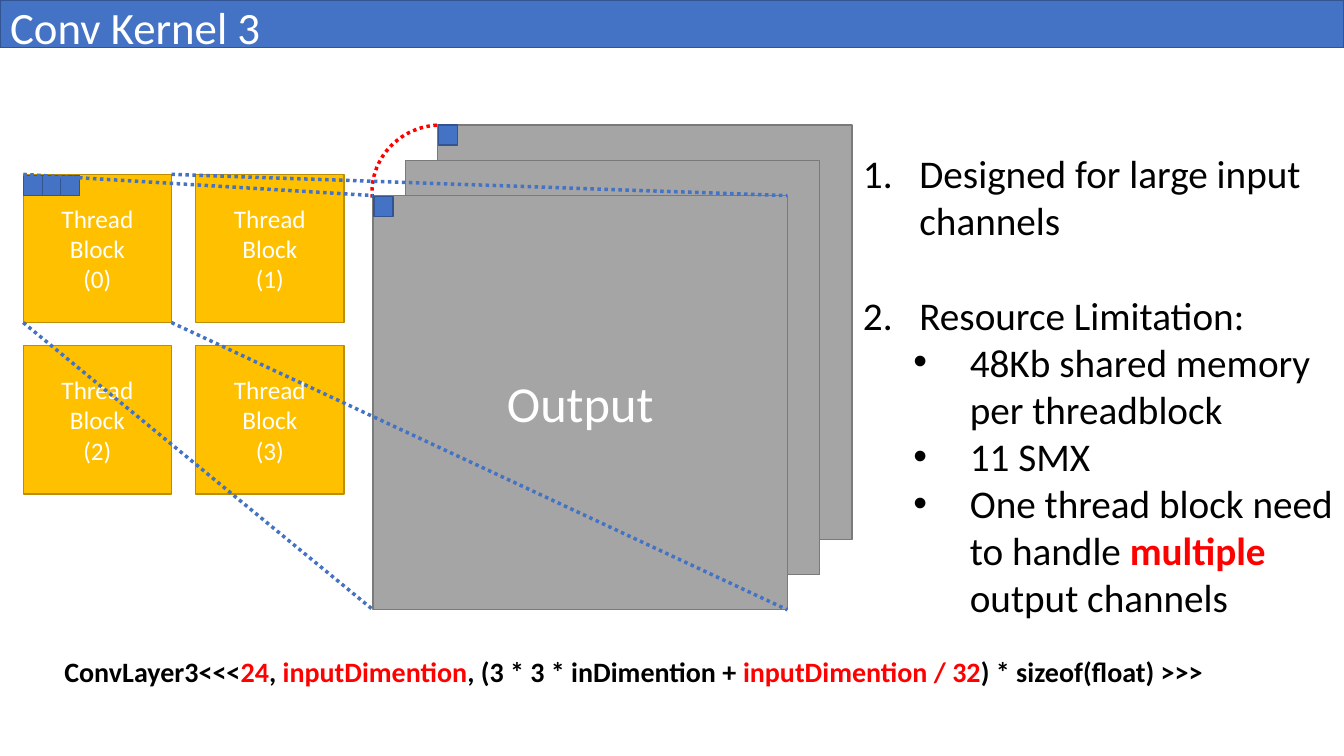
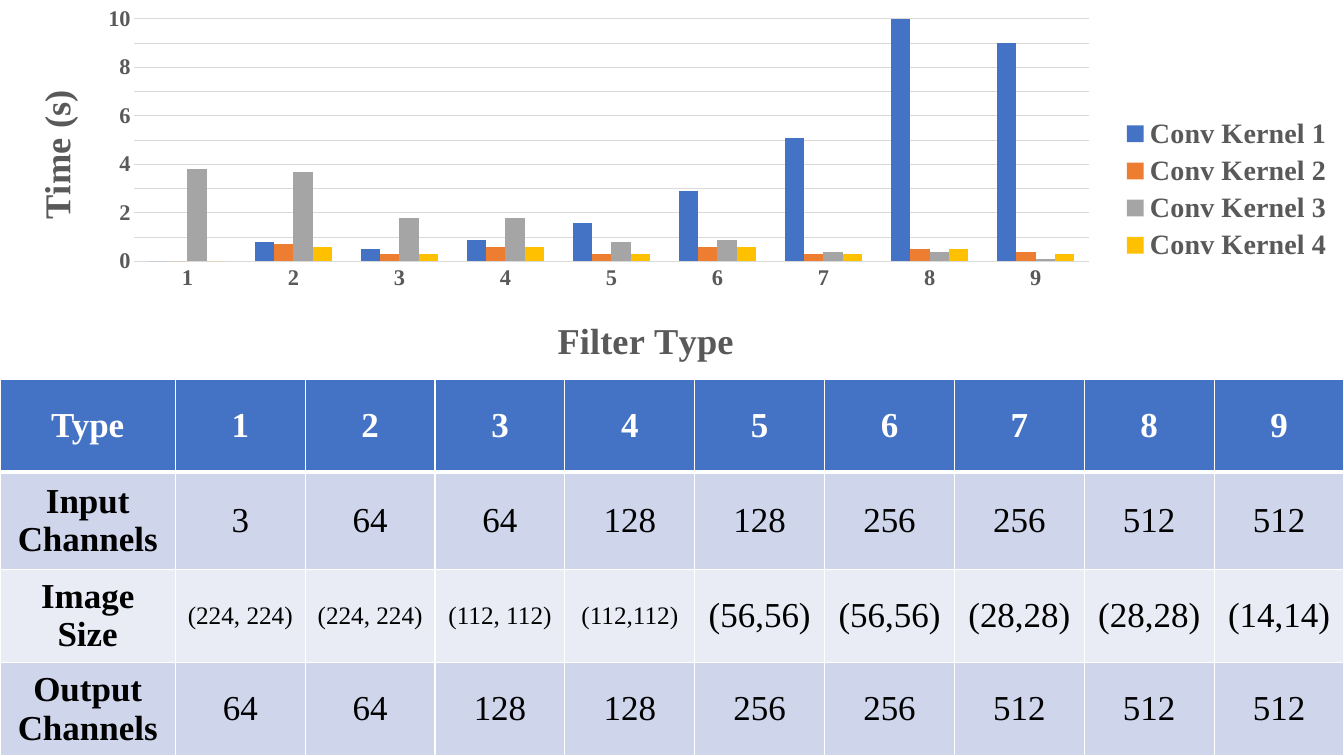
from copy import deepcopy
from dataclasses import dataclass
from lxml.etree import SubElement as Sub, Element as Elem
from pptx import Presentation
from pptx.chart.data import CategoryChartData as Data
from pptx.dml.color import RGBColor as Rgb
from pptx.enum.chart import XL_CHART_TYPE as Kind, XL_LEGEND_POSITION as Side, XL_TICK_MARK as Tick
from pptx.enum.dml import MSO_LINE as Dash
from pptx.enum.shapes import MSO_CONNECTOR as Link, MSO_SHAPE as Form
from pptx.enum.text import MSO_ANCHOR as Anchor, MSO_AUTO_SIZE as Fit, PP_ALIGN as Align
from pptx.oxml.ns import qn
from pptx.util import Inches, Pt


@dataclass(frozen=True)
class Theme:
    blue: str = "4472C4"
    navy: str = "325491"
    gold: str = "FFC000"
    rust: str = "BD8E00"
    gray: str = "A5A5A5"
    dark: str = "7A7A7A"
    orange: str = "ED7D31"
    red: str = "FF0000"
    black: str = "000000"
    white: str = "FFFFFF"
    band: str = "CFD5EA"
    pale: str = "E9EBF5"
    ink: str = "595959"
    rule: str = "D9D9D9"
    sans: str = "Calibri"
    serif: str = "Times New Roman"
    title: int = 32
    big: int = 36
    body: int = 28
    axis: int = 26
    cell: int = 25
    code: int = 20
    small: int = 18
    tick: int = 16


T = Theme()
deck = Presentation()
deck.slide_width, deck.slide_height = Inches(13.33), Inches(7.5)
COL, ROW = deck.slide_width / 100, deck.slide_height / 100


def grid(x, y, w, h):
    return int(x * COL), int(y * ROW), int(w * COL), int(h * ROW)


def style(font, size, color, bold=False, face=T.sans):
    font.size, font.bold, font.name = Pt(size), bold, face
    font.color.rgb = Rgb.from_string(color)


page = deck.slides.add_slide(deck.slide_layouts[5])
shapes = page.shapes
head = shapes.title
head.left, head.top, head.width, head.height = grid(0, 0, 100, 6.27)
head.fill.solid()
head.fill.fore_color.rgb = Rgb.from_string(T.blue)
head.line.color.rgb = Rgb.from_string(T.navy)
head.line.width = Pt(1)
frame = head.text_frame
frame.auto_size, frame.vertical_anchor = Fit.NONE, Anchor.MIDDLE
frame.margin_top, frame.margin_bottom = Inches(0.05), 0
para = frame.paragraphs[0]
para.alignment = Align.LEFT
run = para.add_run()
run.text = "Conv Kernel 3"
style(run.font, T.title, T.white)

bx, by, bw, bh = 1.73, 23.07, 11.03, 19.6
fx, fy, fw, fh = 27.76, 25.87, 30.83, 54.8
boxes = []
for step in (2, 1, 0):
    words = [] if step else ["Output"]
    spot = (fx + step * 2.4, fy - step * 4.67, fw, fh)
    boxes.append((spot, T.gray, T.dark, words, T.big))
for num in range(4):
    spot = (bx + num % 2 * 12.83, by + num // 2 * 22.67, bw, bh)
    boxes.append((spot, T.gold, T.rust, ["Thread Block", f"({num})"], T.small))
for x, y in ((1.73, 23.2), (3.15, 23.2), (4.5, 23.2), (27.83, 26), (32.63, 16.53)):
    boxes.append(((x, y, 1.43, 2.67), T.blue, T.navy, [], T.small))

for spot, fill, edge, words, size in boxes:
    box = shapes.add_shape(Form.RECTANGLE, *grid(*spot))
    box.shadow.inherit = False
    box.fill.solid()
    box.fill.fore_color.rgb = Rgb.from_string(fill)
    box.line.color.rgb = Rgb.from_string(edge)
    box.line.width = Pt(1)
    frame = box.text_frame
    frame.vertical_anchor = Anchor.MIDDLE
    for num, word in enumerate(words):
        para = frame.add_paragraph() if num else frame.paragraphs[0]
        para.alignment = Align.CENTER
        run = para.add_run()
        run.text = word
        style(run.font, size, T.white)

arc = shapes.add_shape(Form.ARC, *grid(27.83, 16.27, 9.9, 18.13))
arc.adjustments[0], arc.adjustments[1] = 162, 1.77
arc.rotation = 264.9
arc.fill.background()
arc.shadow.inherit = False
dots = [(arc, T.red)]
for i in (0, 1):
    for j in (0, 1):
        start = grid(bx + i * bw, by + j * bh, 0, 0)[:2]
        end = grid(fx + i * fw, fy + j * fh, 0, 0)[:2]
        dots.append((shapes.add_connector(Link.STRAIGHT, *start, *end), T.blue))
for dot, color in dots:
    dot.line.color.rgb = Rgb.from_string(color)
    dot.line.width = Pt(2.5)
    dot.line.dash_style = Dash.ROUND_DOT
    if dot is not arc:
        Sub(dot._element.spPr, qn("a:effectLst"))

notes = [
    (0, 0, [("Designed for large input channels", 0)]),
    (0, 34, [("Resource Limitation:", 0)]),
    (1, 0, [("48Kb shared memory per threadblock", 0)]),
    (1, 0, [("11 SMX", 0)]),
    (1, 0, [("One thread block need to handle ", 0), ("multiple ", 1), ("output channels", 0)]),
]
frame = shapes.add_textbox(*grid(63.47, 19.07, 36.68, 64.13)).text_frame
frame.word_wrap = True
for num, (level, gap, parts) in enumerate(notes):
    para = frame.add_paragraph() if num else frame.paragraphs[0]
    para.level, para.space_before = level, Pt(gap)
    props = para._p.get_or_add_pPr()
    props.set("marL", str(Inches(0.56 + level * 0.5)))
    props.set("indent", str(Inches(-0.56)))
    if level:
        Sub(props, qn("a:buFont"), typeface="Arial")
        Sub(props, qn("a:buChar"), char="•")
    else:
        Sub(props, qn("a:buFont"), typeface="+mj-lt")
        Sub(props, qn("a:buAutoNum"), type="arabicPeriod")
    for text, hot in parts:
        run = para.add_run()
        run.text = text
        style(run.font, T.body, T.red if hot else T.black, bool(hot))

frame = shapes.add_textbox(*grid(4.05, 85.87, 92, 5.87)).text_frame
frame.word_wrap = True
call = ["ConvLayer3<<<", "24", ", ", "inputDimention", ", (3 * 3 * inDimention + ",
        "inputDimention / 32", ") * sizeof(float) >>>"]
for num, text in enumerate(call):
    run = frame.paragraphs[0].add_run()
    run.text = text
    style(run.font, T.code, T.red if num % 2 else T.black, True)

page = deck.slides.add_slide(deck.slide_layouts[6])
rows = [
    ["Type", *"123456789"],
    ["Input Channels", "3", "64", "64", "128", "128", "256", "256", "512", "512"],
    ["Image Size", "(224, 224)", "(224, 224)", "(112, 112)", "(112,112)",
     "(56,56)", "(56,56)", "(28,28)", "(28,28)", "(14,14)"],
    ["Output Channels", "64", "64", "128", "128", "256", "256", "512", "512", "512"],
]
fills = [T.blue, T.band, T.pale, T.band]
highs = [12.27, 12.93, 12.27, 12.4]
table = page.shapes.add_table(4, 10, *grid(0, 50.13, 100, 49.87)).table
table.horz_banding = False
for c, col in enumerate(table.columns):
    col.width = int(COL * (86.95 / 9 if c else 13.05))
for r, words in enumerate(rows):
    table.rows[r].height = int(ROW * highs[r])
    for c, word in enumerate(words):
        cell = table.cell(r, c)
        props = cell._tc.get_or_add_tcPr()
        for side in "LRTB":
            thick = (r, side) in ((0, "B"), (1, "T"))
            line = Sub(props, qn(f"a:ln{side}"), w=str(Pt(3 if thick else 1)))
            Sub(Sub(line, qn("a:solidFill")), qn("a:srgbClr"), val=T.white)
        cell.fill.solid()
        cell.fill.fore_color.rgb = Rgb.from_string(fills[r])
        cell.vertical_anchor = Anchor.MIDDLE
        para = cell.text_frame.paragraphs[0]
        para.alignment = Align.CENTER
        run = para.add_run()
        run.text = word
        size = T.small if r == 2 and 0 < c < 5 else T.cell
        style(run.font, size, T.black if r else T.white, r * c == 0, T.serif)

times = [
    (T.blue, [0, 0.8, 0.5, 0.9, 1.6, 2.9, 5.1, 10.3, 9]),
    (T.orange, [0, 0.7, 0.3, 0.6, 0.3, 0.6, 0.3, 0.5, 0.4]),
    (T.gray, [3.8, 3.7, 1.8, 1.8, 0.8, 0.9, 0.4, 0.4, 0.1]),
    (T.gold, [0, 0.6, 0.3, 0.6, 0.3, 0.6, 0.3, 0.5, 0.3]),
]
data = Data()
data.categories = rows[0][1:]
for num, (color, vals) in enumerate(times, 1):
    data.add_series(f"Conv Kernel {num}", vals)
chart = page.shapes.add_chart(Kind.COLUMN_CLUSTERED, *grid(0, 0, 100, 50.13), data).chart
style(chart.font, T.axis, T.black, True, T.serif)
chart.has_title = False
chart.has_legend = True
chart.legend.position = Side.RIGHT
chart.legend.include_in_layout = False
style(chart.legend.font, T.code, T.ink, True, T.serif)
plot = chart.plots[0]
plot.gap_width, plot.overlap, plot.vary_by_categories = 150, 0, False
for bars, (color, vals) in zip(plot.series, times):
    bars.format.fill.solid()
    bars.format.fill.fore_color.rgb = Rgb.from_string(color)

base, scale = chart.category_axis, chart.value_axis
scale.minimum_scale, scale.maximum_scale = 0, 10
scale.major_unit, scale.minor_unit = 2, 1
scale.has_major_gridlines = scale.has_minor_gridlines = True
for line in (base.format.line, scale.major_gridlines.format.line):
    line.color.rgb = Rgb.from_string(T.rule)
    line.width = Pt(0.75)
node = scale._element
minor = node.find(qn("c:minorGridlines"))
minor.append(deepcopy(node.find(qn("c:majorGridlines")).find(qn("c:spPr"))))
scale.format.line.fill.background()
for axis, text in ((base, "Filter Type"), (scale, "Time (s)")):
    axis.major_tick_mark = axis.minor_tick_mark = Tick.NONE
    style(axis.tick_labels.font, T.tick, T.ink, True, T.serif)
    run = axis.axis_title.text_frame.paragraphs[0].add_run()
    run.text = text
    style(run.font, T.axis, T.ink, True, T.serif)
turn = scale.axis_title.text_frame._txBody.bodyPr
turn.set("rot", "-5400000")
turn.set("vert", "horz")

area = chart._chartSpace.chart.plotArea
spots = [
    (area, 0, {"layoutTarget": "inner", "xMode": "edge", "yMode": "edge",
               "x": 0.1, "y": 0.05, "w": 0.71, "h": 0.64}),
    (base.axis_title._element, 1, {"xMode": "edge", "yMode": "edge", "x": 0.41, "y": 0.82}),
    (scale.axis_title._element, 1, {"xMode": "edge", "yMode": "edge", "x": 0.02, "y": 0.22}),
]
for node, place, parts in spots:
    for old in node.findall(qn("c:layout")):
        node.remove(old)
    layout = Elem(qn("c:layout"))
    manual = Sub(layout, qn("c:manualLayout"))
    for name, val in parts.items():
        Sub(manual, qn(f"c:{name}"), val=str(val))
    node.insert(place, layout)

deck.save("out.pptx")
